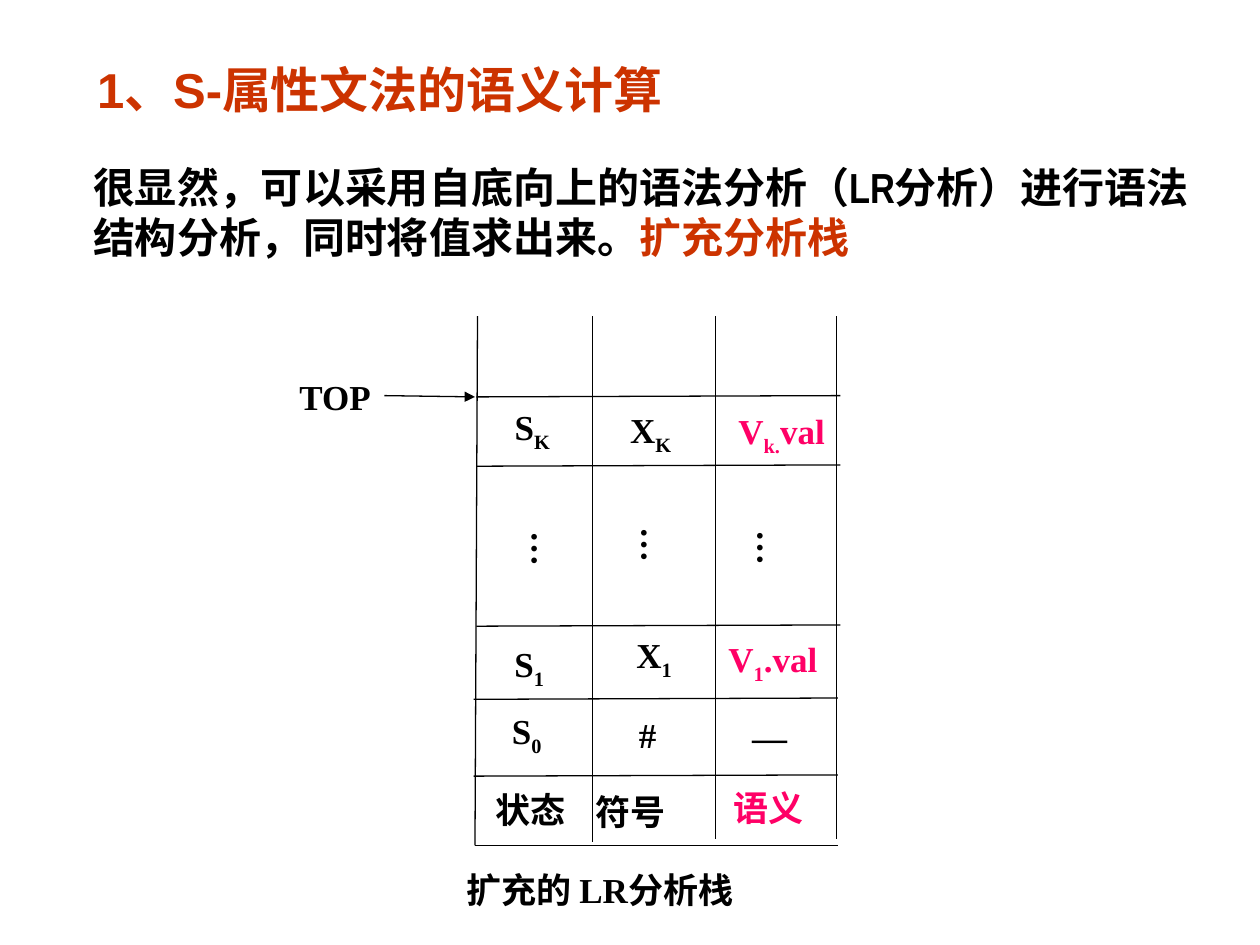
from lxml.etree import SubElement
from pptx import Presentation
from pptx.dml.color import RGBColor
from pptx.enum.shapes import MSO_CONNECTOR
from pptx.enum.text import MSO_ANCHOR, PP_ALIGN
from pptx.oxml.ns import qn
from pptx.util import Inches, Pt

COLORS = {"ink": "000000", "accent": "CC3300", "value": "FF0066"}
LABEL_FRAME = {"word_wrap": True, "margin_left": 0, "margin_top": 0,
               "margin_right": 0, "margin_bottom": 0}


def add_run(paragraph, text, color="ink", size=20, font="Times New Roman"):
    run = paragraph.add_run()
    run.text = text
    for name, value in {"name": font, "size": Pt(size), "bold": True}.items():
        setattr(run.font, name, value)
    run.font.color.rgb = RGBColor.from_string(COLORS[color])
    return run


def add_line(x1, y1, x2, y2):
    line = slide.shapes.add_connector(
        MSO_CONNECTOR.STRAIGHT, Inches(x1), Inches(y1), Inches(x2), Inches(y2))
    line.line.color.rgb = RGBColor.from_string(COLORS["ink"])
    line.line.width = Pt(0.75)
    SubElement(line._element.spPr, qn("a:effectLst"))
    return line


deck = Presentation()
deck.slide_width, deck.slide_height = Inches(10), Inches(7.5)
slide = deck.slides.add_slide(deck.slide_layouts[5])

# Title
title = slide.shapes.title
title_place = {"left": 0.67, "top": 0.33, "width": 8.43, "height": 0.67}
for name, value in title_place.items():
    setattr(title, name, Inches(value))
title.text_frame.vertical_anchor = MSO_ANCHOR.TOP
heading = title.text_frame.paragraphs[0]
heading_format = {"alignment": PP_ALIGN.LEFT, "line_spacing": 1.2, "space_before": Pt(5.6)}
for name, value in heading_format.items():
    setattr(heading, name, value)
add_run(heading, "1、S-属性文法的语义计算", "accent", 28, "Arial")

# Explanation
explanation = slide.shapes.add_textbox(Inches(0.64), Inches(1.23), Inches(9.06), Inches(0.91))
explanation.text_frame.word_wrap = True
sentence = explanation.text_frame.paragraphs[0]
add_run(sentence, "很显然，可以采用自底向上的语法分析（LR分析）进行语法结构分析，同时将值求出来。",
        size=24, font="Arial Narrow")
add_run(sentence, "扩充分析栈", "accent", 24, "Arial Narrow")

# Stack: slightly slanted left side and row rules, upright columns, floor
add_line(3.79, 2.51, 3.77, 6.71)
add_line(3.77, 6.71, 6.65, 6.71)
for x, bottom in [(4.7, 6.68), (5.68, 6.66), (6.64, 6.66)]:
    add_line(x, 2.51, x, bottom)
for left, y in [(3.78, 3.15), (3.78, 3.7), (3.78, 4.97), (3.76, 5.55), (3.76, 6.16)]:
    add_line(left, y, left + 2.89, y - 0.01)

# Pointer to the top of the stack
pointer = add_line(3.05, 3.14, 3.77, 3.15)
SubElement(pointer.line._get_or_add_ln(), qn("a:tailEnd"), type="triangle")

# Labels: text between underscores is subscript
labels = [
    ("S_K", 3.98, 3.22, 0.49, "ink", PP_ALIGN.CENTER),
    ("X_K", 5, 3.24, 0.55, "ink", PP_ALIGN.JUSTIFY),
    ("V_k._val", 5.86, 3.25, 0.95, "value", PP_ALIGN.JUSTIFY),
    ("…", 4.11, 4.22, 0.39, "ink", PP_ALIGN.JUSTIFY),
    ("…", 4.98, 4.19, 0.39, "ink", PP_ALIGN.JUSTIFY),
    ("…", 5.9, 4.21, 0.39, "ink", PP_ALIGN.JUSTIFY),
    ("S_1", 3.95, 5.1, 0.5, "ink", PP_ALIGN.CENTER),
    ("X_1", 5.05, 5.03, 0.32, "ink", PP_ALIGN.JUSTIFY),
    ("V_1_.val", 5.78, 5.06, 0.89, "value", PP_ALIGN.JUSTIFY),
    ("S_0", 3.93, 5.63, 0.5, "ink", PP_ALIGN.CENTER),
    ("#", 5.07, 5.66, 0.24, "ink", PP_ALIGN.JUSTIFY),
    ("—", 5.97, 5.68, 0.3, "ink", PP_ALIGN.JUSTIFY),
    ("状态", 3.93, 6.26, 0.76, "ink", PP_ALIGN.JUSTIFY),
    ("符号", 4.73, 6.27, 0.98, "ink", PP_ALIGN.JUSTIFY),
    ("语义", 5.82, 6.24, 0.61, "value", PP_ALIGN.JUSTIFY),
    ("TOP", 2.3, 2.98, 0.72, "ink", PP_ALIGN.CENTER),
    ("扩充的 LR分析栈", 3.7, 6.89, 3.56, "ink", PP_ALIGN.JUSTIFY),
]
for text, left, top, width, color, alignment in labels:
    label = slide.shapes.add_textbox(Inches(left), Inches(top), Inches(width), Inches(0.3))
    for name, value in LABEL_FRAME.items():
        setattr(label.text_frame, name, value)
    if text == "…":
        label.text_frame._txBody.bodyPr.set("vert", "eaVert")
    paragraph = label.text_frame.paragraphs[0]
    paragraph.alignment = alignment
    for index, part in enumerate(text.split("_")):
        run = add_run(paragraph, part, color)
        if index == 1:
            run.font._element.set("baseline", "-25000")

deck.save("out.pptx")
